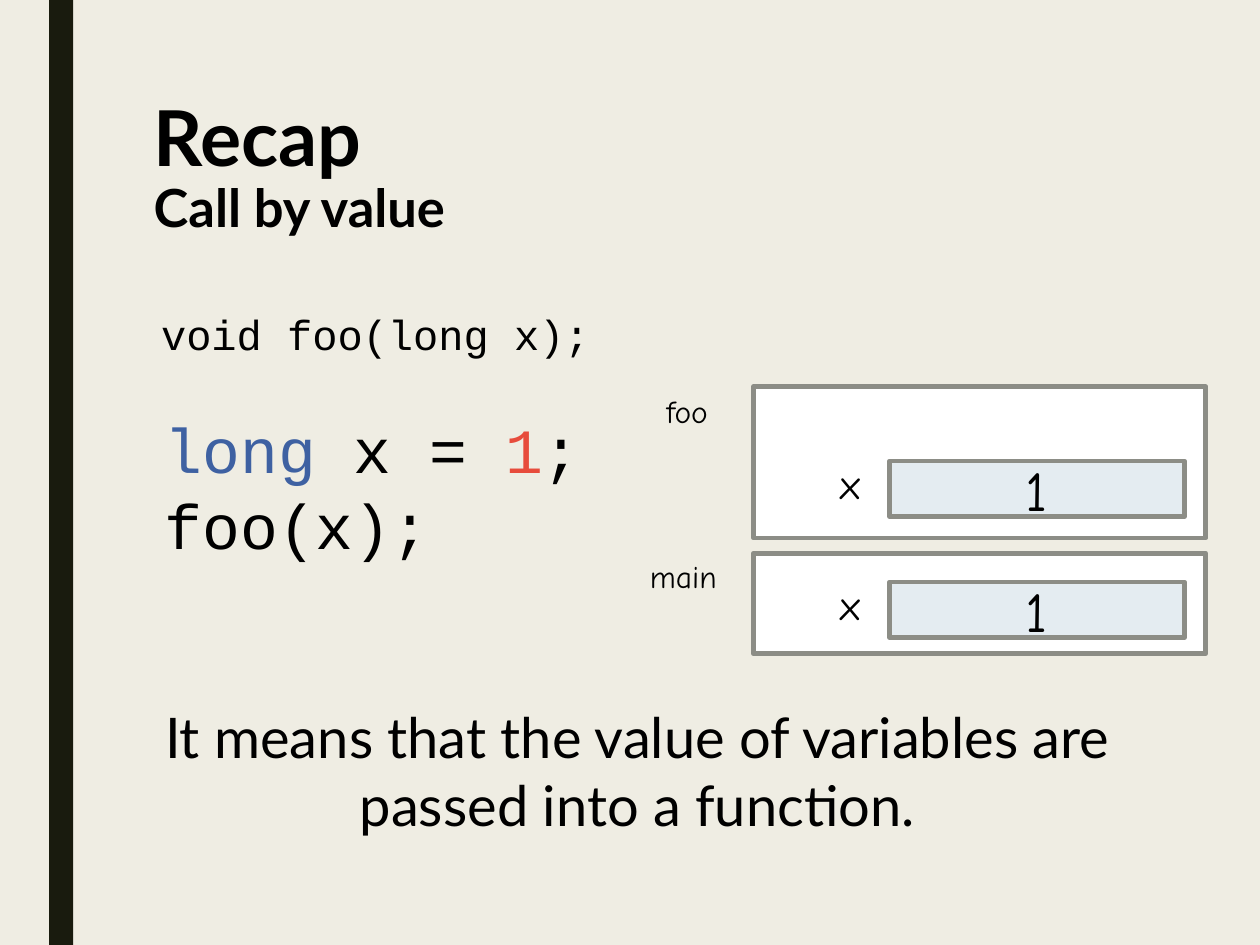
"""Build a recap slide that explains call by value with two stack frames."""
from dataclasses import dataclass

from pptx import Presentation
from pptx.dml.color import RGBColor
from pptx.enum.shapes import MSO_SHAPE
from pptx.enum.text import MSO_ANCHOR, PP_ALIGN
from pptx.util import Inches, Pt

RECTANGLE = MSO_SHAPE.RECTANGLE
CENTER = PP_ALIGN.CENTER
LEFT = PP_ALIGN.LEFT
TOP = MSO_ANCHOR.TOP
MIDDLE = MSO_ANCHOR.MIDDLE

COLORS = {
    "background": "EFEDE3",
    "stripe": "191B0E",
    "text": "000000",
    "keyword": "3E61A2",
    "number": "E74C3C",
    "frame": "FFFFFF",
    "value": "E4ECF1",
    "border": "8C8D86",
}
BODY_FONT = "Lato"
CODE_FONT = "Courier New"
SKETCH_FONT = "Comic Neue"

FRAME_LEFT, FRAME_WIDTH = 5.98, 3.59
VALUE_LEFT, VALUE_WIDTH, VALUE_HEIGHT = 7.06, 2.34, 0.44
VARIABLE_LEFT = 6.57


@dataclass(frozen=True)
class Box:
    """Position and size in inches."""
    left: float
    top: float
    width: float
    height: float

    def lengths(self) -> tuple:
        """Return the four values as lengths."""
        return tuple(Inches(v) for v in (self.left, self.top, self.width, self.height))


@dataclass(frozen=True)
class Span:
    """A stretch of text in one colour."""
    text: str
    color: str = "text"


@dataclass(frozen=True)
class StackFrame:
    """A function's stack frame holding one variable."""
    function: str
    label: Box
    top: float
    height: float
    value_top: float
    variable: str = "x"
    value: str = "1"


FRAMES = (
    StackFrame("main", Box(5.06, 4.37, 0.92, 0.4), 4.39, 0.8, 4.62),
    StackFrame("foo", Box(5.19, 3.06, 0.7, 0.4), 3.07, 1.2, 3.66),
)
CODE_LINES = (
    (Span("long ", "keyword"), Span("x = "), Span("1", "number"), Span(";")),
    (Span("foo(x);"),),
)


def rgb(name: str) -> RGBColor:
    """Look up a named colour."""
    return RGBColor.from_string(COLORS[name])


def style(span, font: str, size: float, color: str = "text", bold: bool = False) -> None:
    """Format one run."""
    span.font.name = font
    span.font.size = Pt(size)
    span.font.bold = bold
    span.font.color.rgb = rgb(color)


def add_text(page, box: Box, lines: tuple, font: str, size: float,
             align=LEFT, wrap: bool = True) -> None:
    """Add a text box with one paragraph for each line of spans."""
    frame = page.shapes.add_textbox(*box.lengths()).text_frame
    frame.word_wrap = wrap
    frame.text = "\n".join("" for _ in lines)
    for para, spans in zip(frame.paragraphs, lines):
        para.alignment = align
        for part in spans:
            span = para.add_run()
            span.text = part.text
            style(span, font, size, part.color)


def add_rectangle(page, box: Box, fill: str, border: str = ""):
    """Add a flat rectangle, outlined when a border colour is named."""
    shape = page.shapes.add_shape(RECTANGLE, *box.lengths())
    shape.shadow.inherit = False
    shape.fill.solid()
    shape.fill.fore_color.rgb = rgb(fill)
    if border:
        shape.line.color.rgb = rgb(border)
        shape.line.width = Pt(2.75)
    else:
        shape.line.fill.background()
    return shape


def add_stack_frame(page, item: StackFrame) -> None:
    """Draw a stack frame with its function, variable and value."""
    add_rectangle(page, Box(FRAME_LEFT, item.top, FRAME_WIDTH, item.height), "frame", "border")
    add_text(page, item.label, ((Span(item.function),),), SKETCH_FONT, 18, wrap=False)
    add_text(page, Box(VARIABLE_LEFT, item.value_top - 0.08, 0.42, 0.5),
             ((Span(item.variable),),), SKETCH_FONT, 24, wrap=False)
    value_box = Box(VALUE_LEFT, item.value_top, VALUE_WIDTH, VALUE_HEIGHT)
    frame = add_rectangle(page, value_box, "value", "border").text_frame
    frame.text = item.value
    frame.vertical_anchor = MIDDLE
    para = frame.paragraphs[0]
    para.alignment = CENTER
    style(para.runs[0], SKETCH_FONT, 32)


def set_title(page) -> None:
    """Place and format the two-line title."""
    title = page.shapes.title
    title.left, title.top, title.width, title.height = Box(1.12, 0.75, 7.88, 1.62).lengths()
    frame = title.text_frame
    frame.vertical_anchor = TOP
    para = frame.paragraphs[0]
    para.text = "Recap\vCall by value"
    para.alignment = LEFT
    para.line_spacing = 0.89
    for span, size in zip(para.runs, (44, 30)):
        style(span, BODY_FONT, size, bold=True)


def main() -> None:
    """Build and save the deck."""
    deck = Presentation()
    deck.slide_width, deck.slide_height = Inches(10), Inches(7.5)
    page = deck.slides.add_slide(deck.slide_layouts[5])
    page.background.fill.solid()
    page.background.fill.fore_color.rgb = rgb("background")
    add_rectangle(page, Box(0.39, 0, 0.19, 7.5), "stripe")
    set_title(page)
    message = Span("It means that the value of variables are passed into a function.")
    add_text(page, Box(1.12, 5.53, 7.88, 1.27), ((message,),), BODY_FONT, 32, CENTER)
    add_text(page, Box(1.21, 3.21, 6.07, 1.31), CODE_LINES, CODE_FONT, 36)
    for item in FRAMES:
        add_stack_frame(page, item)
    add_text(page, Box(1.18, 2.4, 4.72, 0.5), ((Span("void foo(long x);"),),), CODE_FONT, 24)
    deck.save("out.pptx")


if __name__ == "__main__":
    main()
